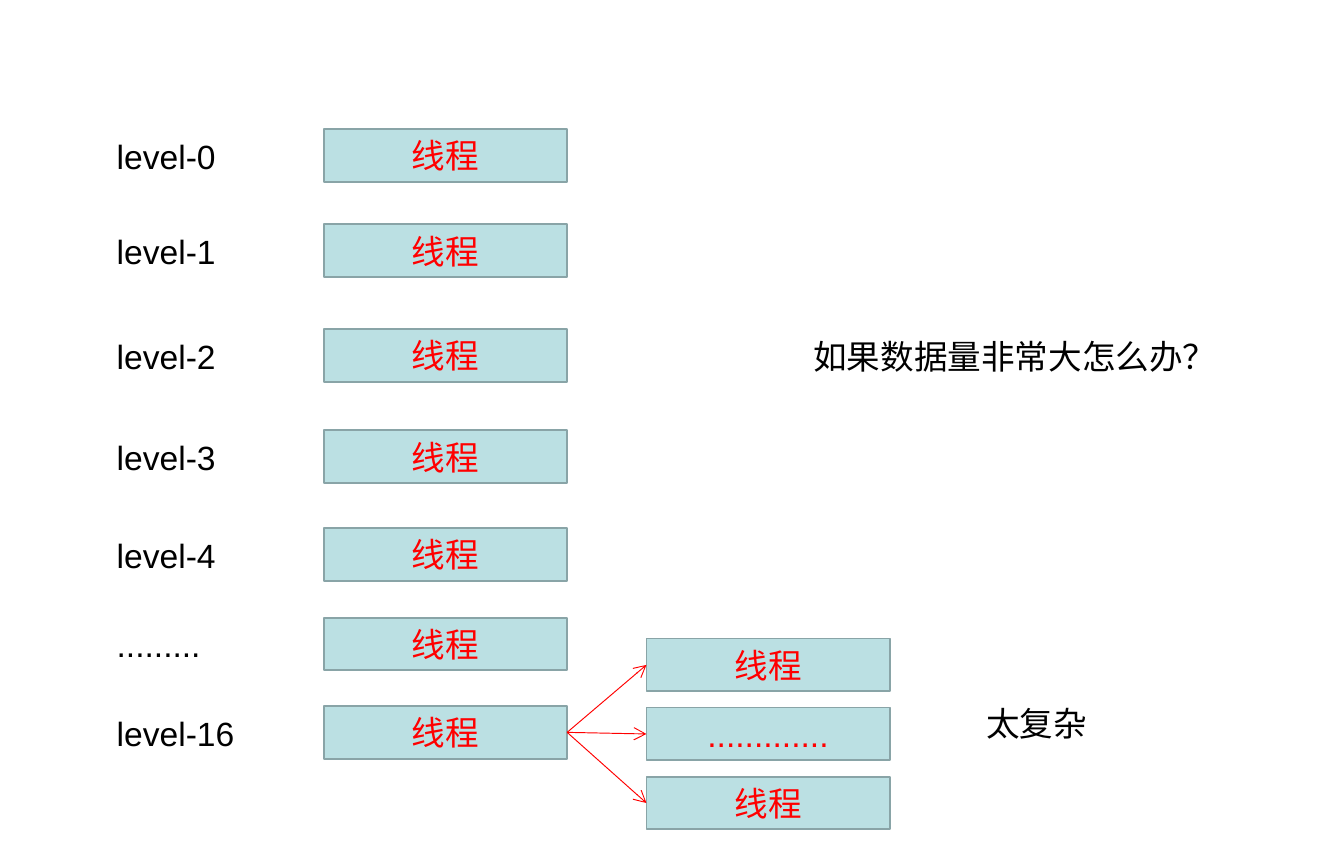
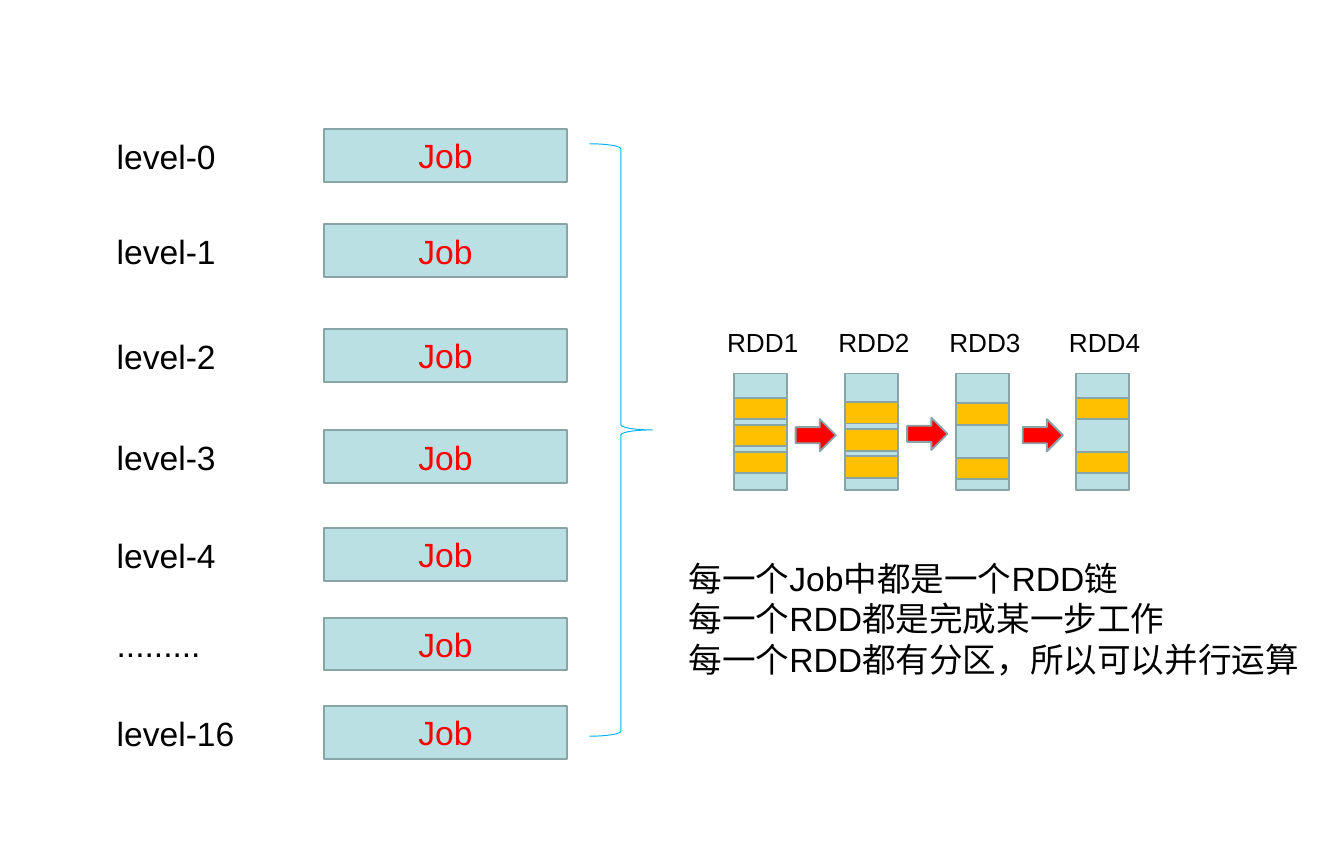
from dataclasses import dataclass

import pptx
import pptx.dml.color
import pptx.enum.shapes
import pptx.enum.text
import pptx.util
from lxml import etree
from pptx.oxml.ns import qn

# Grid: 100 columns by 62.6 rows of one tenth of an inch
CELL = 0.1
COLUMNS, ROWS = 100, 62.6

# Shared look
FONT = "Arial"
BLACK, RED, BLUE = "000000", "FF0000", "00B0F0"
PALE, EDGE, AMBER = "BBE0E3", "89A4A7", "FFC000"
SHAPE = pptx.enum.shapes.MSO_SHAPE

BOX_W, BOX_H = 18.1, 3.93
LEVEL_X, STAGE_X, BRANCH_X = 7.7, 24.1, 48.1
BRANCH_Y, BRANCH_STEP = 47.53, 5.14
BRACE_Y, BRACE_H, BRACE_TIP = 10.7, 44.1, 32
RDD_Y, RDD_W, RDD_H = 27.8, 3.95, 8.7
PARTITION_H, PARTITION_STEP = 1.6, 2.02
ARROW_W, ARROW_H = 3, 2.4


@dataclass
class Level:
    name: str
    y: float
    width: float = 9.5


@dataclass
class Rdd:
    name: str
    x: float
    first_partition: float
    slots: tuple[int, ...]


LEVELS = [
    Level("level-0", 9.6),
    Level("level-1", 16.7),
    Level("level-2", 24.5),
    Level("level-3", 32.03),
    Level("level-4", 39.3),
    Level(".........", 45.98, 8.4),
    Level("level-16", 52.55, 10.9),
]
RDDS = [
    Rdd("RDD1", 54.6, 29.6, (0, 1, 2)),
    Rdd("RDD2", 62.87, 29.93, (0, 1, 2)),
    Rdd("RDD3", 71.13, 30.03, (0, 2)),
    Rdd("RDD4", 80.03, 29.6, (0, 2)),
]
ARROWS = [(59.2, 31.2), (67.5, 31.1), (76.1, 31.2)]


def grid(cells: float) -> pptx.util.Length:
    return pptx.util.Inches(cells * CELL)


def color(value: str) -> pptx.dml.color.RGBColor:
    return pptx.dml.color.RGBColor.from_string(value)


def format_text(p, size: float, ink: str) -> None:
    p.font.name = FONT
    p.font.size = pptx.util.Pt(size)
    p.font.color.rgb = color(ink)


def add_label(s, text: str, x: float, y: float, w: float, h: float = 4, size: float = 18) -> None:
    tf = s.shapes.add_textbox(*map(grid, (x, y, w, h))).text_frame
    tf.word_wrap = False
    tf.auto_size = pptx.enum.text.MSO_AUTO_SIZE.SHAPE_TO_FIT_TEXT
    tf.text = text
    for p in tf.paragraphs:
        format_text(p, size, BLACK)


def add_block(s, x: float, y: float, w: float, h: float, fill: str = PALE,
              kind=SHAPE.RECTANGLE):
    sp = s.shapes.add_shape(kind, *map(grid, (x, y, w, h)))
    sp.shadow.inherit = False
    sp.fill.solid()
    sp.fill.fore_color.rgb = color(fill)
    sp.line.color.rgb = color(EDGE)
    sp.line.width = pptx.util.Pt(1)
    return sp


def add_box(s, text: str, x: float, y: float):
    sp = add_block(s, x, y, BOX_W, BOX_H)
    tf = sp.text_frame
    tf.vertical_anchor = pptx.enum.text.MSO_ANCHOR.MIDDLE
    tf.text = text
    p = tf.paragraphs[0]
    p.alignment = pptx.enum.text.PP_ALIGN.CENTER
    format_text(p, 18, RED)
    return sp


def add_arrow(s, source, target) -> None:
    line = s.shapes.add_connector(pptx.enum.shapes.MSO_CONNECTOR.STRAIGHT, 0, 0, 0, 0)
    line.begin_connect(source, 3)
    line.end_connect(target, 1)
    line.line.color.rgb = color(RED)
    line.line.width = pptx.util.Pt(0.5)
    etree.SubElement(line.line._get_or_add_ln(), qn("a:tailEnd"), type="arrow")
    etree.SubElement(line._element.spPr, qn("a:effectLst"))


def add_levels(s, task: str) -> list:
    """Draw the level names with one task box each; return the boxes."""
    for level in LEVELS:
        add_label(s, level.name, LEVEL_X, level.y, level.width)
    return [add_box(s, task, STAGE_X, level.y) for level in LEVELS]


def add_brace(s) -> None:
    sp = s.shapes.add_shape(SHAPE.RIGHT_BRACE, *map(grid, (43.85, BRACE_Y, 4.7, BRACE_H)))
    sp.shadow.inherit = False
    sp.adjustments[0] = 0.08
    sp.adjustments[1] = (BRACE_TIP - BRACE_Y) / BRACE_H
    sp.fill.background()
    sp.line.color.rgb = color(BLUE)
    sp.line.width = pptx.util.Pt(0.5)


def add_rdd(s, rdd: Rdd) -> None:
    add_block(s, rdd.x, RDD_Y, RDD_W, RDD_H)
    add_label(s, rdd.name, rdd.x - 1.48, 23.8, 7.3, 3.4, 14)
    for slot in rdd.slots:
        y = rdd.first_partition + slot * PARTITION_STEP
        add_block(s, rdd.x, y, RDD_W, PARTITION_H, AMBER)


def build_threads(s) -> None:
    last = add_levels(s, "线程")[-1]
    # The last level fans out into further threads
    for i, text in enumerate(("线程", ".............", "线程")):
        add_arrow(s, last, add_box(s, text, BRANCH_X, BRANCH_Y + i * BRANCH_STEP))
    add_label(s, "如果数据量非常大怎么办？", 59.53, 24.5, 32)
    add_label(s, "太复杂", 72.4, 51.8, 9.5)


def build_jobs(s) -> None:
    add_levels(s, "Job")
    add_brace(s)
    # Chain of partitioned data sets
    for rdd in RDDS:
        add_rdd(s, rdd)
    for x, y in ARROWS:
        add_block(s, x, y, ARROW_W, ARROW_H, RED, SHAPE.RIGHT_ARROW)
    add_label(s, "每一个Job中都是一个RDD链\n"
                 "每一个RDD都是完成某一步工作\n"
                 "每一个RDD都有分区，所以可以并行运算", 50.25, 41.05, 48.6, 10)


def main() -> None:
    prs = pptx.Presentation()
    prs.slide_width, prs.slide_height = grid(COLUMNS), grid(ROWS)
    for build in (build_threads, build_jobs):
        build(prs.slides.add_slide(prs.slide_layouts[6]))
    prs.save("out.pptx")


if __name__ == "__main__":
    main()
